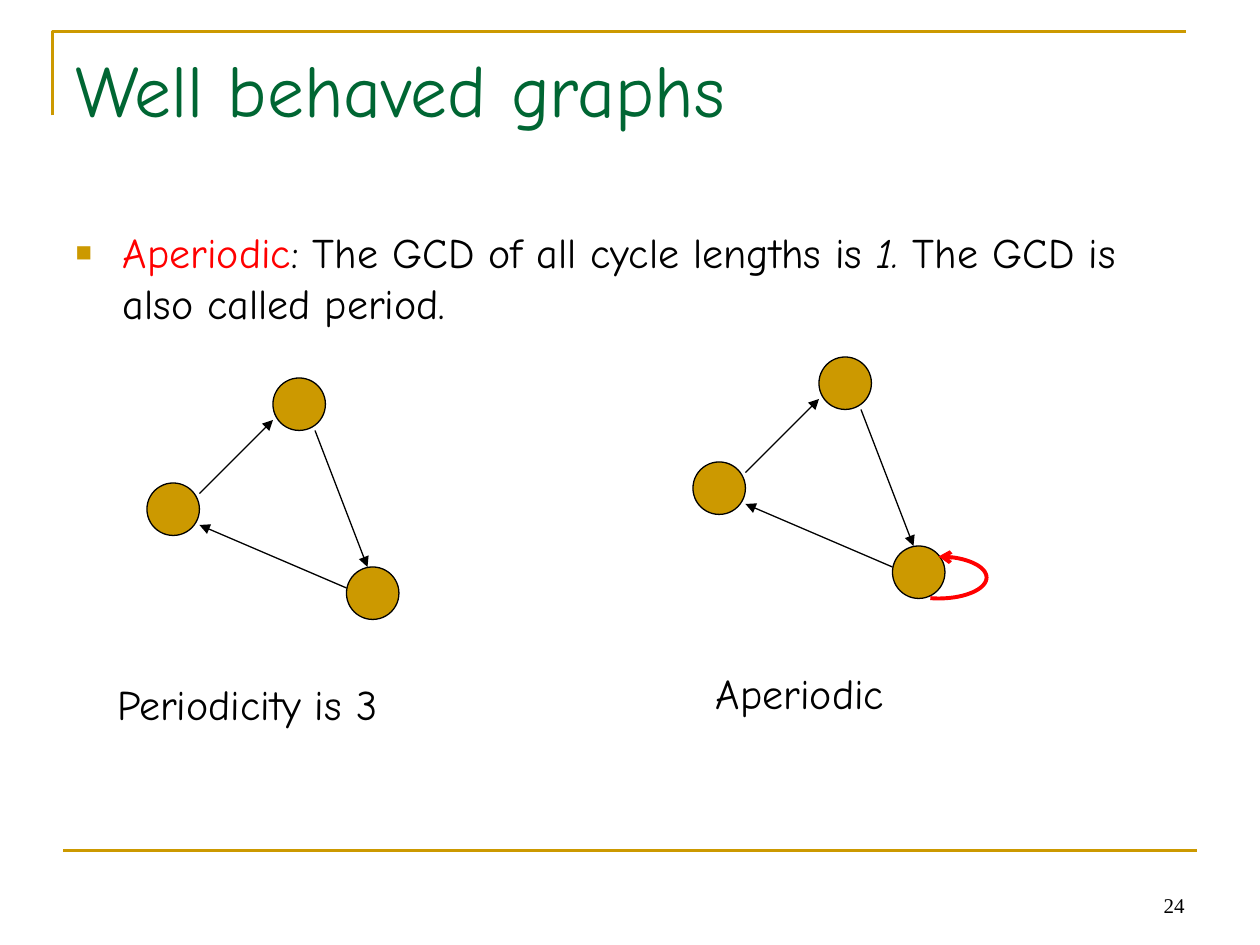
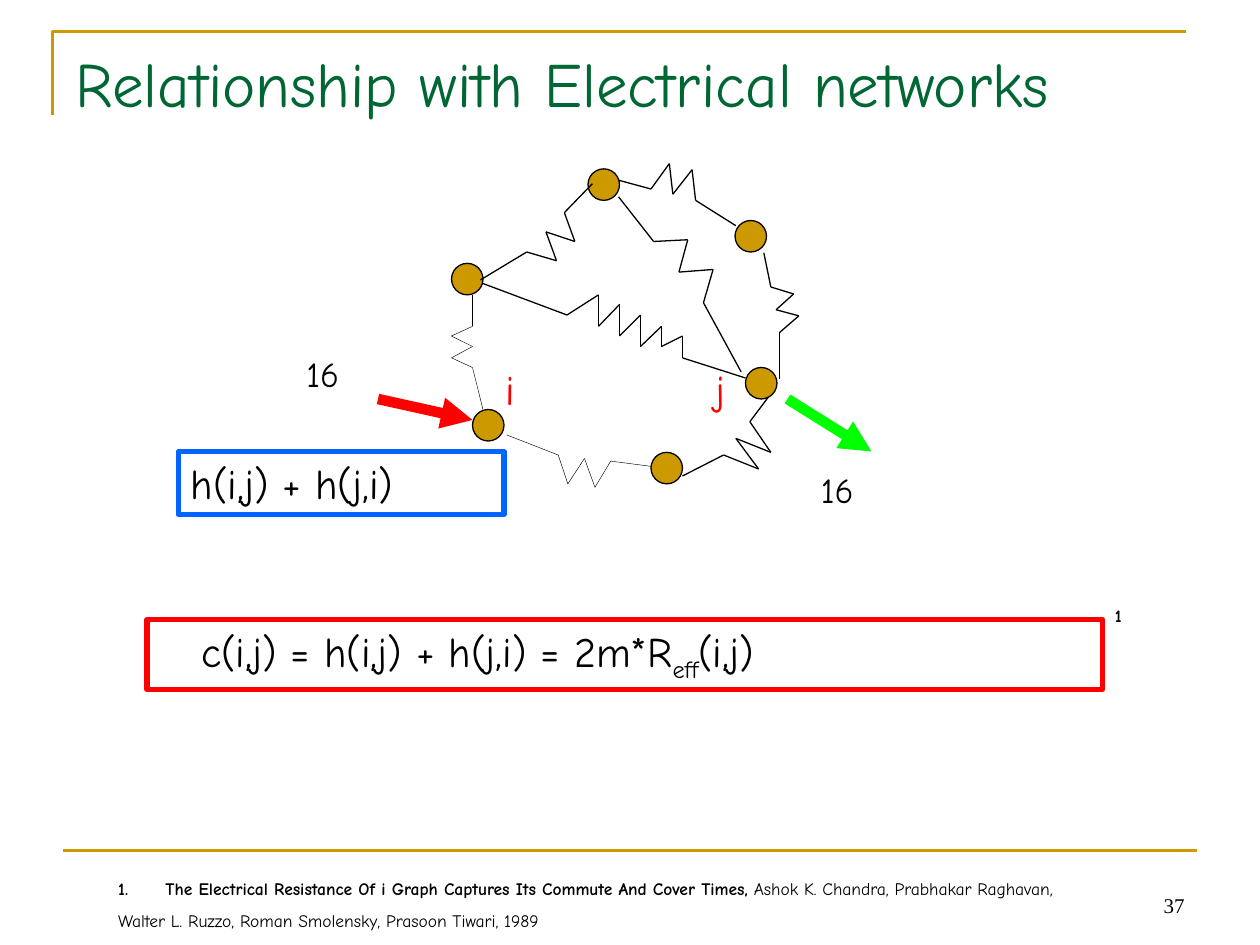
from dataclasses import dataclass
from itertools import pairwise
from math import cos, radians, sin

from lxml import etree
from pptx import Presentation
from pptx.dml.color import RGBColor
from pptx.enum.shapes import MSO_CONNECTOR, MSO_SHAPE
from pptx.enum.text import MSO_ANCHOR, MSO_AUTO_SIZE, PP_ALIGN
from pptx.oxml.ns import qn
from pptx.util import Pt

LINE = MSO_CONNECTOR.STRAIGHT
OVAL, RECT = MSO_SHAPE.OVAL, MSO_SHAPE.RECTANGLE
TOP, BOTTOM = MSO_ANCHOR.TOP, MSO_ANCHOR.BOTTOM
LEFT, RIGHT = PP_ALIGN.LEFT, PP_ALIGN.RIGHT
FIXED = MSO_AUTO_SIZE.NONE


@dataclass(frozen=True)
class Theme:
    gold: str = "CC9900"
    green: str = "006633"
    black: str = "000000"
    red: str = "FF0000"
    lime: str = "00FF00"
    blue: str = "0066FF"
    font: str = "Comic Neue"
    serif: str = "Times New Roman"
    head: int = 42
    tight: int = 36
    text: int = 24
    mark: int = 20
    page: int = 12
    note: int = 10


THEME = Theme()

LOOP_NODES = [(0, 60), (72, 0), (114, 108)]
LOOP_EDGES = [
    ((30, 66), (72, 24)),
    ((96, 30), (126, 108)),
    ((114, 120), (30, 84)),
]
NET_NODES = [(420, 126), (336, 96.5), (258, 150.5),
             (270, 234), (372, 258.5), (426, 210)]
THICK_WIRES = [
    [(353.5, 112.5), (373.5, 138), (393, 137), (388, 155.5),
     (407.5, 154), (402, 173), (423.5, 212.5)],
    [(338.5, 105), (322.5, 121.5), (328.5, 138), (312, 132.5),
     (318, 149), (301, 144), (274.5, 160)],
    [(276, 162), (324, 180), (342, 168.5), (342, 186.5), (354, 174),
     (354, 192), (366, 180), (366, 198), (378, 186.5), (378, 198),
     (390, 192), (390, 204.5), (426, 216)],
    [(353.5, 103), (372, 108), (382.5, 93.5), (384.5, 111),
     (395.5, 97), (397.5, 114.5), (420.5, 129)],
    [(436.5, 144.5), (440.5, 164), (453.5, 168), (443.5, 177),
     (456.5, 180.5), (445.5, 190), (445.5, 216.5)],
    [(439, 227), (428.5, 241), (440.5, 258.5), (420.5, 250.5),
     (433.5, 268), (413.5, 260), (390, 272)],
]
THIN_WIRES = [
    [(270, 168.5), (270, 186.5), (258, 192), (270, 198),
     (258, 204.5), (270, 210), (276, 234)],
    [(372, 266.5), (349, 263.5), (340, 278.5), (334, 262),
     (324.5, 276.5), (319, 260), (289.5, 248.5)],
]


def rgb(tone):
    return RGBColor.from_string(tone)


def add_run(para, text, size, tone=THEME.black, font=THEME.font,
            bold=False, slant=False):
    run = para.add_run()
    run.text = text
    run.font.size = Pt(size)
    run.font.name = font
    run.font.bold = bold
    run.font.italic = slant
    run.font.color.rgb = rgb(tone)
    return run


def set_frame(shape, anchor=TOP):
    frame = shape.text_frame
    frame.word_wrap = True
    frame.auto_size = FIXED
    frame.vertical_anchor = anchor
    frame.paragraphs[0].alignment = LEFT
    return frame


def place(shape, x, y, wide, high):
    shape.left, shape.top = Pt(x), Pt(y)
    shape.width, shape.height = Pt(wide), Pt(high)


def add_box(slide, x, y, wide, high, anchor=TOP):
    box = slide.shapes.add_textbox(Pt(x), Pt(y), Pt(wide), Pt(high))
    return set_frame(box, anchor)


def add_label(slide, x, y, wide, high, text, size=THEME.text, **look):
    add_run(add_box(slide, x, y, wide, high).paragraphs[0], text, size, **look)


def paint(shape, tone, width):
    shape.line.color.rgb = rgb(tone)
    shape.line.width = Pt(width)


def add_tip(shape, end, kind):
    etree.SubElement(shape.element.spPr.find(qn("a:ln")), qn(end), type=kind)


def add_line(shapes, start, end, tone=THEME.black, width=0.75, tip=False):
    line = shapes.add_connector(LINE, *map(Pt, start + end))
    paint(line, tone, width)
    if tip:
        add_tip(line, "a:tailEnd", "triangle")
    etree.SubElement(line.element.spPr, qn("a:effectLst"))


def add_curve(slide, points, tone, width):
    build = slide.shapes.build_freeform(*map(Pt, points[0]))
    build.add_line_segments([(Pt(x), Pt(y)) for x, y in points[1:]], close=False)
    curve = build.convert_to_shape()
    curve.shadow.inherit = False
    curve.fill.background()
    paint(curve, tone, width)
    return curve


def add_node(slide, x, y, size):
    node = slide.shapes.add_shape(OVAL, Pt(x), Pt(y), Pt(size), Pt(size))
    node.shadow.inherit = False
    node.fill.solid()
    node.fill.fore_color.rgb = rgb(THEME.gold)
    paint(node, THEME.black, 0.75)


def add_panel(slide, x, y, wide, high, tone):
    panel = slide.shapes.add_shape(RECT, Pt(x), Pt(y), Pt(wide), Pt(high))
    panel.shadow.inherit = False
    panel.fill.background()
    paint(panel, tone, 3)
    return set_frame(panel)


def add_wire(slide, points, width):
    group = slide.shapes.add_group_shape()
    for start, end in pairwise(points):
        add_line(group.shapes, start, end, width=width)


def add_graph(slide, x, y):
    for left, top in LOOP_NODES:
        add_node(slide, x + left, y + top, 30)
    for edge in LOOP_EDGES:
        start, end = [(x + left, y + top) for left, top in edge]
        add_line(slide.shapes, start, end, tip=True)


def add_loop(slide, x, y, wide, high):
    turns = [radians(step) for step in range(-90, 101, 5)]
    points = [(x + wide * cos(turn), y + high * sin(turn)) for turn in turns]
    add_tip(add_curve(slide, points, THEME.red, 2.25), "a:headEnd", "arrow")


def hang(para, depth):
    props = para._p.get_or_add_pPr()
    props.set("marL", str(Pt(depth)))
    props.set("indent", str(-Pt(depth)))
    return props


def add_mark(props, tag, tone, size=100, **kind):
    hue = etree.SubElement(props, qn("a:buClr"))
    etree.SubElement(hue, qn("a:srgbClr"), val=tone)
    etree.SubElement(props, qn("a:buSzPct"), val=str(size * 1000))
    etree.SubElement(props, qn(tag), **kind)


def add_slide(deck, layout, title, size, page):
    slide = deck.slides.add_slide(deck.slide_layouts.get_by_name(layout))
    add_curve(slide, [(30, 66), (30, 18), (678, 18)], THEME.gold, 1.5)
    add_line(slide.shapes, (36, 486), (684, 486), THEME.gold, 1.5)
    foot = add_box(slide, 516, 492, 168, 36, BOTTOM).paragraphs[0]
    foot.alignment = RIGHT
    add_run(foot, page, THEME.page, font=THEME.serif)
    head = slide.shapes.title
    place(head, 36, 21.6, 648, 90)
    add_run(set_frame(head).paragraphs[0], title, size, THEME.green)
    return slide


def draw_graphs(deck):
    slide = add_slide(deck, "Title and Content", "Well behaved graphs",
                      THEME.head, "24")
    body = slide.placeholders[1]
    place(body, 36, 126, 648, 356)
    para = set_frame(body).paragraphs[0]
    para.space_before = Pt(6)
    add_mark(hang(para, 27), "a:buChar", THEME.gold, 65, char="■")
    add_run(para, "Aperiodic", THEME.text, THEME.red)
    add_run(para, ": The GCD of all cycle lengths is ", THEME.text)
    add_run(para, "1. ", THEME.text, slant=True)
    add_run(para, "The GCD is also called period.", THEME.text)
    add_label(slide, 402, 378, 198, 36, "Aperiodic")
    add_label(slide, 60, 384, 228, 36, "Periodicity is 3")
    add_graph(slide, 84, 216)
    add_graph(slide, 396, 204)
    add_loop(slide, 536.4, 330, 27.4, 12)


def draw_network(deck):
    slide = add_slide(deck, "Title Only", "Relationship with Electrical networks",
                      THEME.tight, "37")
    add_line(slide.shapes, (450, 228), (498, 258), THEME.lime, 6, tip=True)
    for x, y in NET_NODES:
        add_node(slide, x, y, 18)
    for wires, width in ((THICK_WIRES, 0.75), (THIN_WIRES, 0.25)):
        for points in wires:
            add_wire(slide, points, width)
    for x, name in ((282, "i"), (402, "j")):
        add_label(slide, x, 204, 30, 36, name, tone=THEME.red)
    for x, y in ((462, 264), (168, 198)):
        add_label(slide, x, y, 66, 31.5, "16", THEME.mark)
    add_line(slide.shapes, (216, 228), (270, 240), THEME.red, 6, tip=True)

    frame = add_panel(slide, 84, 354, 546, 40, THEME.red)
    frame.margin_left = Pt(31)
    para = frame.paragraphs[0]
    add_run(para, "c(i,j) = h(i,j) + h(j,i) = 2m*R", THEME.text)
    low = add_run(para, "eff", THEME.text)
    low.font._element.set("baseline", "-25000")
    add_run(para, "(i,j)", THEME.text)
    para = add_panel(slide, 102, 258, 186, 36, THEME.blue).paragraphs[0]
    add_run(para, "h(i,j) + h(j,i)", THEME.text)

    frame = add_box(slide, 60.5, 498, 554, 37.5)
    first, last = frame.paragraphs[0], frame.add_paragraph()
    for para in (first, last):
        para.space_before = Pt(6.2)
        hang(para, 27)
    add_mark(hang(first, 27), "a:buAutoNum", THEME.black, type="arabicPeriod")
    add_run(first, "The Electrical Resistance Of i Graph Captures Its Commute "
            "And Cover Times, ", THEME.note, bold=True)
    add_run(first, "Ashok K. Chandra, Prabhakar Raghavan,", THEME.note)
    add_run(last, "Walter L. Ruzzo, Roman Smolensky, Prasoon Tiwari, 1989",
            THEME.note)
    add_label(slide, 630, 342, 24, 19.5, "1", THEME.note, bold=True)


def main():
    deck = Presentation()
    deck.slide_width, deck.slide_height = Pt(720), Pt(540)
    draw_graphs(deck)
    draw_network(deck)
    deck.save("out.pptx")


if __name__ == "__main__":
    main()
